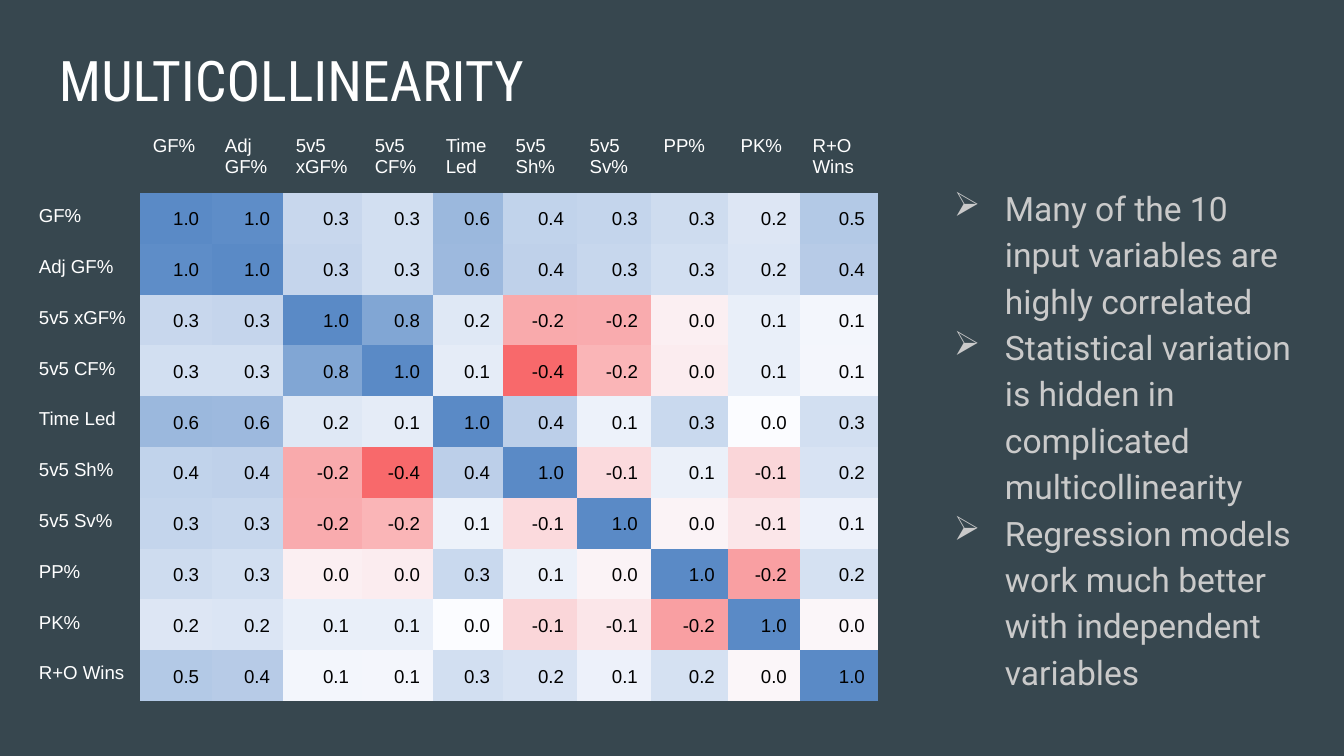
from lxml.etree import SubElement
from pptx import Presentation
from pptx.dml.color import RGBColor
from pptx.enum.text import MSO_ANCHOR, MSO_AUTO_SIZE, PP_ALIGN
from pptx.oxml.ns import qn
from pptx.util import Pt

# Content
TITLE = "MULTICOLLINEARITY"
POINTS = [
    "Many of the 10 input variables are highly correlated",
    "Statistical variation is hidden in complicated multicollinearity",
    "Regression models work much better with independent variables",
]
VARIABLES = ["GF%", "Adj GF%", "5v5 xGF%", "5v5 CF%", "Time Led",
             "5v5 Sh%", "5v5 Sv%", "PP%", "PK%", "R+O Wins"]

# Lower triangle of the symmetric matrix; the diagonal is always 1.0
CORRELATIONS = [
    [],
    ["1.0"],
    ["0.3", "0.3"],
    ["0.3", "0.3", "0.8"],
    ["0.6", "0.6", "0.2", "0.1"],
    ["0.4", "0.4", "-0.2", "-0.4", "0.4"],
    ["0.3", "0.3", "-0.2", "-0.2", "0.1", "-0.1"],
    ["0.3", "0.3", "0.0", "0.0", "0.3", "0.1", "0.0"],
    ["0.2", "0.2", "0.1", "0.1", "0.0", "-0.1", "-0.1", "-0.2"],
    ["0.5", "0.4", "0.1", "0.1", "0.3", "0.2", "0.1", "0.2", "0.0"],
]
HEAT = [
    [],
    ["5E8DC8"],
    ["C8D7ED", "C5D5EC"],
    ["D2DFF1", "D2DFF1", "81A6D4"],
    ["9BB8DD", "9DB9DE", "DFE8F5", "E5ECF7"],
    ["C1D3EB", "BFD1EA", "F9AAAC", "F8696B", "BCCFE9"],
    ["C4D5EC", "C7D7ED", "F9ABAE", "FAB5B7", "EDF2FA", "FBDADD"],
    ["CEDCEF", "D2DFF1", "FBEFF2", "FBECEF", "C9D9EE", "EBF0F9", "FBF3F6"],
    ["DDE6F4", "DBE5F4", "E9EFF9", "E9EFF9", "FBFCFF", "FAD6D9", "FBE6E9",
     "F99FA2"],
    ["B3C9E6", "B7CBE7", "F3F6FC", "F4F6FC", "D2DFF1", "D8E3F3", "EDF1FA",
     "D5E1F2", "FBF6F9"],
]

# Format
COLORS = {"background": "37474F", "white": "FFFFFF", "black": "000000",
          "bullet": "CACACA", "diagonal": "5A8AC6"}
FONTS = {
    "title": {"name": "Roboto Condensed", "size": Pt(30)},
    "bullet": {"name": "Roboto", "size": Pt(18)},
    "table": {"name": "Arial", "size": Pt(10)},
}
SCALE = 914400 / 134.4
TITLE_AREA = (46, 32, 1252, 85)
POINTS_AREA = (925, 169, 385, 503)
TABLE_LEFT, TABLE_TOP = 26, 123
COLUMN_WIDTHS = [114, 72, 71, 79, 71, 70, 74, 74, 77, 72, 78]
HEADER_HEIGHT, MATRIX_HEIGHT = 70, 508
INSET = 13


def px(length):
    return round(length * SCALE)


def write(para, text, font, color, **layout):
    span = para.add_run()
    span.text = text
    for name, value in FONTS[font].items():
        setattr(span.font, name, value)
    span.font.color.rgb = RGBColor.from_string(COLORS[color])
    for name, value in layout.items():
        setattr(para, name, value)


def set_frame(frame):
    settings = {"word_wrap": True, "auto_size": MSO_AUTO_SIZE.NONE,
                "vertical_anchor": MSO_ANCHOR.TOP}
    settings.update({f"margin_{side}": px(INSET)
                     for side in ("left", "top", "right", "bottom")})
    for name, value in settings.items():
        setattr(frame, name, value)


def add_bullet(para):
    properties = para._p.get_or_add_pPr()
    properties.set("marL", str(px(67)))
    properties.set("indent", str(px(-51)))
    color = SubElement(properties, qn("a:buClr"))
    SubElement(color, qn("a:srgbClr"), val=COLORS["bullet"])
    SubElement(properties, qn("a:buChar"), char="➢")


def format_cell(cell, fill=None):
    for side in ("left", "top", "right", "bottom"):
        setattr(cell, f"margin_{side}", px(INSET))
    properties = cell._tc.get_or_add_tcPr()
    for edge in ("a:lnL", "a:lnR", "a:lnT", "a:lnB"):
        SubElement(SubElement(properties, qn(edge), w="0"), qn("a:noFill"))
    if fill:
        cell.fill.solid()
        cell.fill.fore_color.rgb = RGBColor.from_string(fill)
    else:
        cell.fill.background()


def matrix_entry(row, column):
    if row == column:
        return "1.0", COLORS["diagonal"]
    low, high = sorted((row, column))
    return CORRELATIONS[high][low], HEAT[high][low]


# Page
deck = Presentation()
deck.slide_width, deck.slide_height = px(1344), px(756)
page = deck.slides.add_slide(deck.slide_layouts[5])
page.background.fill.solid()
page.background.fill.fore_color.rgb = RGBColor.from_string(COLORS["background"])

# Title
title = page.shapes.title
title.left, title.top, title.width, title.height = map(px, TITLE_AREA)
set_frame(title.text_frame)
write(title.text_frame.paragraphs[0], TITLE, "title", "white",
      alignment=PP_ALIGN.LEFT)

# Bullet points
box = page.shapes.add_textbox(*map(px, POINTS_AREA))
set_frame(box.text_frame)
for index, point in enumerate(POINTS):
    para = box.text_frame.add_paragraph() if index else box.text_frame.paragraphs[0]
    write(para, point, "bullet", "bullet", line_spacing=1.15)
    add_bullet(para)

# Correlation table
count = len(VARIABLES) + 1
table = page.shapes.add_table(
    count, count, px(TABLE_LEFT), px(TABLE_TOP),
    px(sum(COLUMN_WIDTHS)), px(HEADER_HEIGHT + MATRIX_HEIGHT)).table
table.first_row = table.horz_banding = False
for column, width in zip(table.columns, COLUMN_WIDTHS):
    column.width = px(width)
for index, row in enumerate(table.rows):
    row.height = px(MATRIX_HEIGHT) // len(VARIABLES) if index else px(HEADER_HEIGHT)

for row in range(count):
    for column in range(count):
        cell = table.cell(row, column)
        para = cell.text_frame.paragraphs[0]
        if row and column:
            value, heat = matrix_entry(row - 1, column - 1)
            format_cell(cell, heat)
            write(para, value, "table", "black",
                  alignment=PP_ALIGN.RIGHT, line_spacing=1.15)
        else:
            format_cell(cell)
            if row or column:
                write(para, VARIABLES[max(row, column) - 1], "table", "white")

deck.save("out.pptx")
